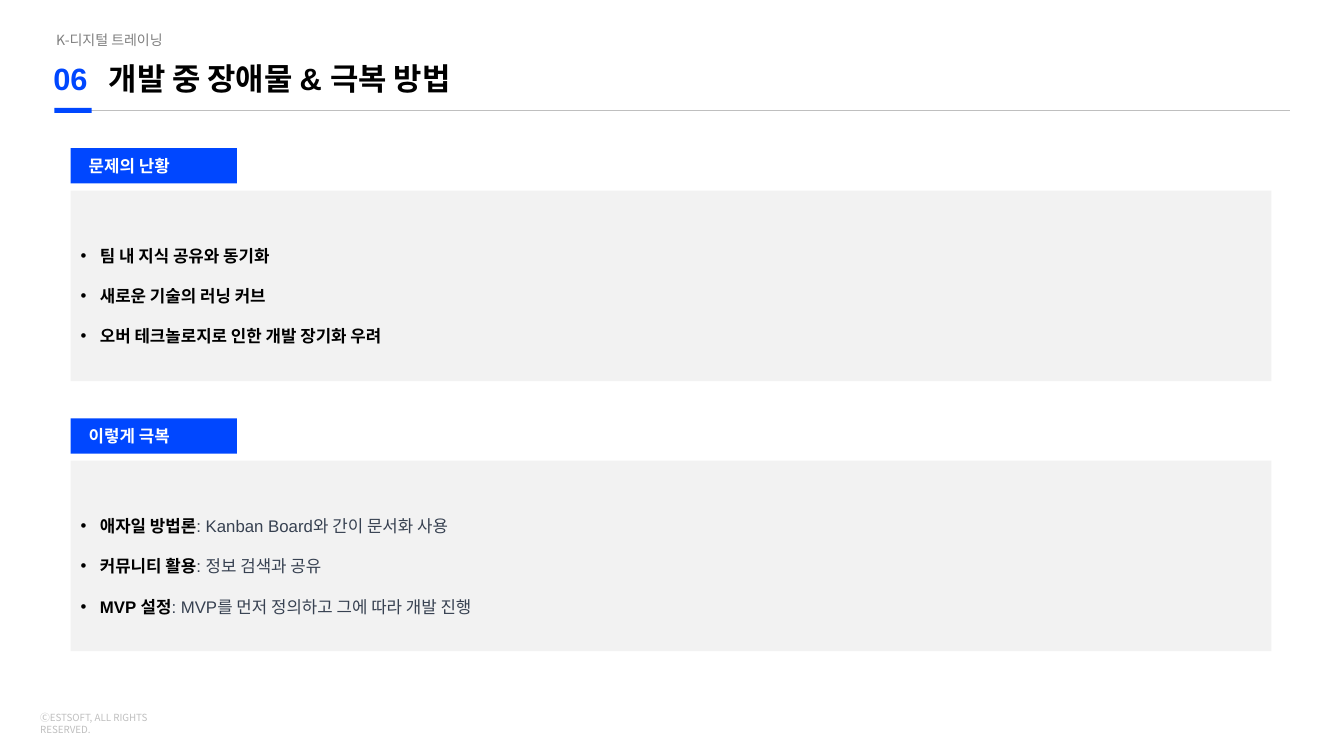
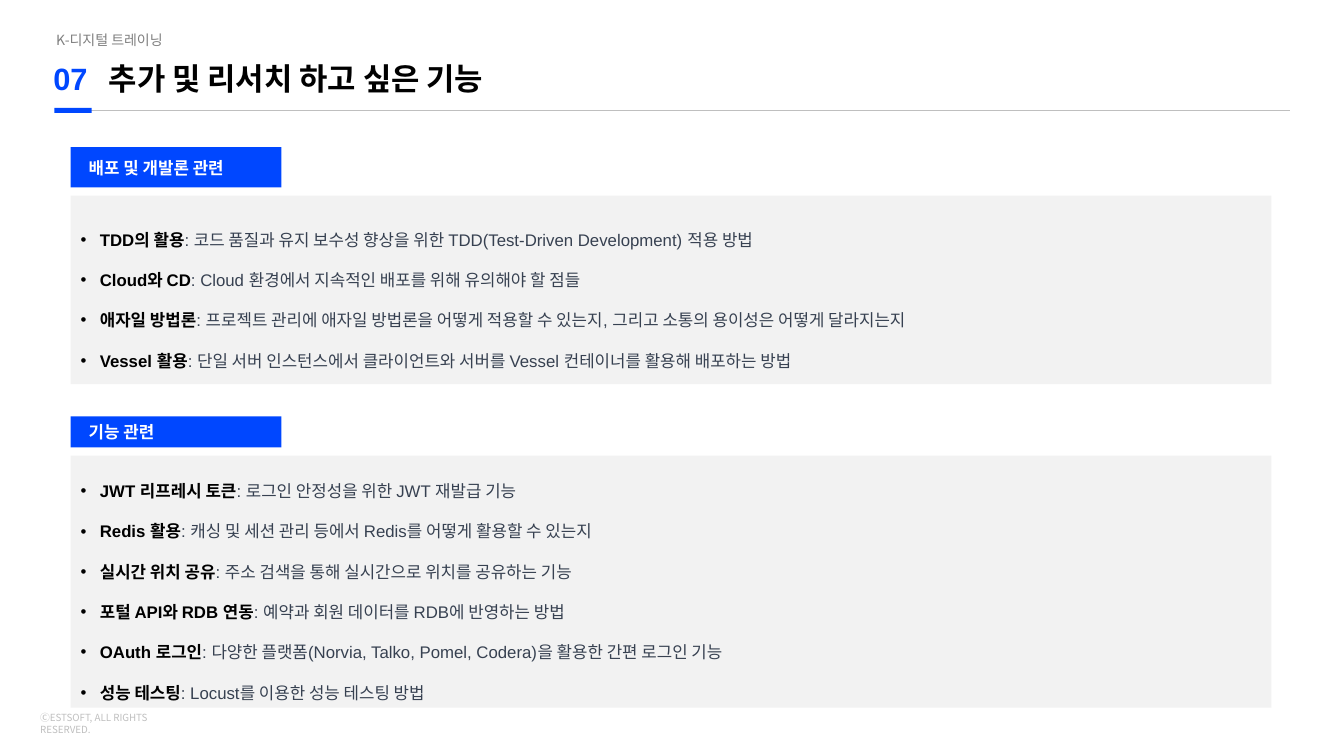
from lxml.etree import SubElement
from pptx import Presentation
from pptx.dml.color import RGBColor
from pptx.enum.shapes import MSO_CONNECTOR as Connector, MSO_SHAPE as Preset
from pptx.enum.text import MSO_ANCHOR as Anchor, MSO_AUTO_SIZE as AutoSize, PP_ALIGN as Align
from pptx.oxml.ns import qn
from pptx.util import Emu, Pt

# Shared style
PX = 9144  # 100 px to the inch
COLORS = {
    "blue": "0047FF", "black": "000000", "white": "FFFFFF", "panel": "F2F2F2",
    "detail": "374151", "tagline": "7F7F7F", "pale": "BFBFBF",
}
LATIN, KOREAN = "Arial", "Noto Sans CJK KR"
COMPARISON_LAYOUT = 4
PANEL_LEFT, PANEL_WIDTH = 70, 1191

# Content: each section has a label box and a panel, given as (top, height)
SLIDES = [
    {
        "number": "06", "title": "개발 중 장애물 & 극복 방법", "title_width": 396, "label_width": 165,
        "sections": [
            ("문제의 난황", (147, 35), (189, 189), [
                ("팀 내 지식 공유와 동기화", ""),
                ("새로운 기술의 러닝 커브", ""),
                ("오버 테크놀로지로 인한 개발 장기화 우려", ""),
            ]),
            ("이렇게 극복", (415, 35), (457, 189), [
                ("애자일 방법론", ": Kanban Board와 간이 문서화 사용"),
                ("커뮤니티 활용", ": 정보 검색과 공유"),
                ("MVP 설정", ": MVP를 먼저 정의하고 그에 따라 개발 진행"),
            ]),
        ],
    },
    {
        "number": "07", "title": "추가 및 리서치 하고 싶은 기능", "title_width": 440, "label_width": 209,
        "sections": [
            ("배포 및 개발론 관련", (146, 40), (194, 187), [
                ("TDD의 활용", ": 코드 품질과 유지 보수성 향상을 위한 TDD(Test-Driven Development) 적용 방법"),
                ("Cloud와 CD", ": Cloud 환경에서 지속적인 배포를 위해 유의해야 할 점들"),
                ("애자일 방법론", ": 프로젝트 관리에 애자일 방법론을 어떻게 적용할 수 있는지, "
                                  "그리고 소통의 용이성은 어떻게 달라지는지"),
                ("Vessel 활용", ": 단일 서버 인스턴스에서 클라이언트와 서버를 Vessel 컨테이너를 활용해 배포하는 방법"),
            ]),
            ("기능 관련", (413, 31), (452, 250), [
                ("JWT 리프레시 토큰", ": 로그인 안정성을 위한 JWT 재발급 기능"),
                ("Redis 활용", ": 캐싱 및 세션 관리 등에서 Redis를 어떻게 활용할 수 있는지"),
                ("실시간 위치 공유", ": 주소 검색을 통해 실시간으로 위치를 공유하는 기능"),
                ("포털 API와 RDB 연동", ": 예약과 회원 데이터를 RDB에 반영하는 방법"),
                ("OAuth 로그인", ": 다양한 플랫폼(Norvia, Talko, Pomel, Codera)을 활용한 간편 로그인 기능"),
                ("성능 테스팅", ": Locust를 이용한 성능 테스팅 방법"),
            ]),
        ],
    },
]


def px(length):
    return Emu(length * PX)


def rgb(name):
    return RGBColor.from_string(COLORS[name])


def place(shape, left, top, width, height):
    shape.left, shape.top, shape.width, shape.height = map(px, (left, top, width, height))


def fill(shape, color):
    shape.fill.solid()
    shape.fill.fore_color.rgb = rgb(color)


def format_run(run, size, color, bold=False, latin=LATIN):
    font = run.font
    font.size, font.bold, font.name = Pt(size), bold, latin
    font.color.rgb = rgb(color)
    SubElement(run._r.get_or_add_rPr(), qn("a:ea"), typeface=KOREAN)


def format_paragraph(paragraph, margin=0, indent=0, spacing=1.0):
    paragraph.alignment = Align.LEFT
    paragraph.line_spacing = spacing
    paragraph.space_before = Pt(0)
    properties = paragraph._p.get_or_add_pPr()
    properties.set("marL", str(px(margin)))
    properties.set("indent", str(px(indent)))
    return properties


def add_bullet(properties):
    bullet_color = SubElement(properties, qn("a:buClr"))
    SubElement(bullet_color, qn("a:srgbClr"), val=COLORS["black"])
    SubElement(properties, qn("a:buFont"), typeface=LATIN)
    SubElement(properties, qn("a:buChar"), char="•")


def set_frame(shape, anchor, wrap=True):
    frame = shape.text_frame
    frame.word_wrap, frame.auto_size, frame.vertical_anchor = wrap, AutoSize.NONE, anchor
    return frame


def write_line(shape, text, size, color, bold=False, latin=LATIN, anchor=Anchor.TOP, wrap=False, margin=0):
    frame = set_frame(shape, anchor, wrap)
    frame.text = text
    format_paragraph(frame.paragraphs[0], margin)
    format_run(frame.paragraphs[0].runs[0], size, color, bold, latin)


def add_text(slide, box, *args, **style):
    textbox = slide.shapes.add_textbox(*map(px, box))
    write_line(textbox, *args, **style)
    return textbox


def add_rule(slide, left, right, y):
    rule = slide.shapes.add_connector(Connector.STRAIGHT, px(left), px(y), px(right), px(y))
    rule.line.color.rgb = rgb("pale")
    rule.line.width = Pt(0.75)
    SubElement(rule.element.spPr, qn("a:effectLst"))
    return rule


def add_accent(slide, *box):
    accent = slide.shapes.add_shape(Preset.RECTANGLE, *map(px, box))
    fill(accent, "blue")
    accent.line.fill.background()
    accent.shadow.inherit = False
    return accent


def furnish_layout(layout, slide):
    """Build the common header and footer, then hand them over to the layout."""
    for part in (
        add_text(slide, (30, 701, 177, 22), "ⒸESTSOFT, ALL RIGHTS RESERVED.", 7, "pale",
                 latin=KOREAN, wrap=True),
        add_text(slide, (46, 26, 137, 27), "K-디지털 트레이닝", 10, "tagline", latin=KOREAN),
        add_rule(slide, 57, 1279, 110),
        add_accent(slide, 54, 107, 37, 5),
    ):
        layout.shapes.element.append(part.element)


def fill_header(slide, content):
    add_text(slide, (43, 54, 58, 47), content["number"], 22, "blue", bold=True)
    title = slide.shapes.title
    place(title, 98, 54, content["title_width"], 47)
    write_line(title, content["title"], 22, "black", bold=True)


def fill_label(label, text, top, width, height):
    place(label, PANEL_LEFT, top, width, height)
    fill(label, "blue")
    write_line(label, text, 12, "white", bold=True, latin=KOREAN, anchor=Anchor.MIDDLE, wrap=True, margin=8)


def fill_panel(panel, items, top, height):
    place(panel, PANEL_LEFT, top, PANEL_WIDTH, height)
    fill(panel, "panel")
    frame = set_frame(panel, Anchor.MIDDLE)
    frame.text = "\n".join(topic for topic, _ in items)
    for paragraph, (_, detail) in zip(frame.paragraphs, items):
        add_bullet(format_paragraph(paragraph, 19, -19, 2.0))
        format_run(paragraph.runs[0], 12, "black", bold=True)
        if detail:
            run = paragraph.add_run()
            run.text = detail
            format_run(run, 12, "detail")


def main():
    deck = Presentation()
    deck.slide_width, deck.slide_height = px(1333), px(750)
    layout = deck.slide_layouts[COMPARISON_LAYOUT]
    for content in SLIDES:
        slide = deck.slides.add_slide(layout)
        if content is SLIDES[0]:
            furnish_layout(layout, slide)
        fill_header(slide, content)
        # Placeholders after the title alternate: label, panel, label, panel
        boxes = list(slide.placeholders)[1:]
        for label, panel, section in zip(boxes[::2], boxes[1::2], content["sections"]):
            heading, (label_top, label_height), (panel_top, panel_height), items = section
            fill_label(label, heading, label_top, content["label_width"], label_height)
            fill_panel(panel, items, panel_top, panel_height)
    deck.save("out.pptx")


if __name__ == "__main__":
    main()
